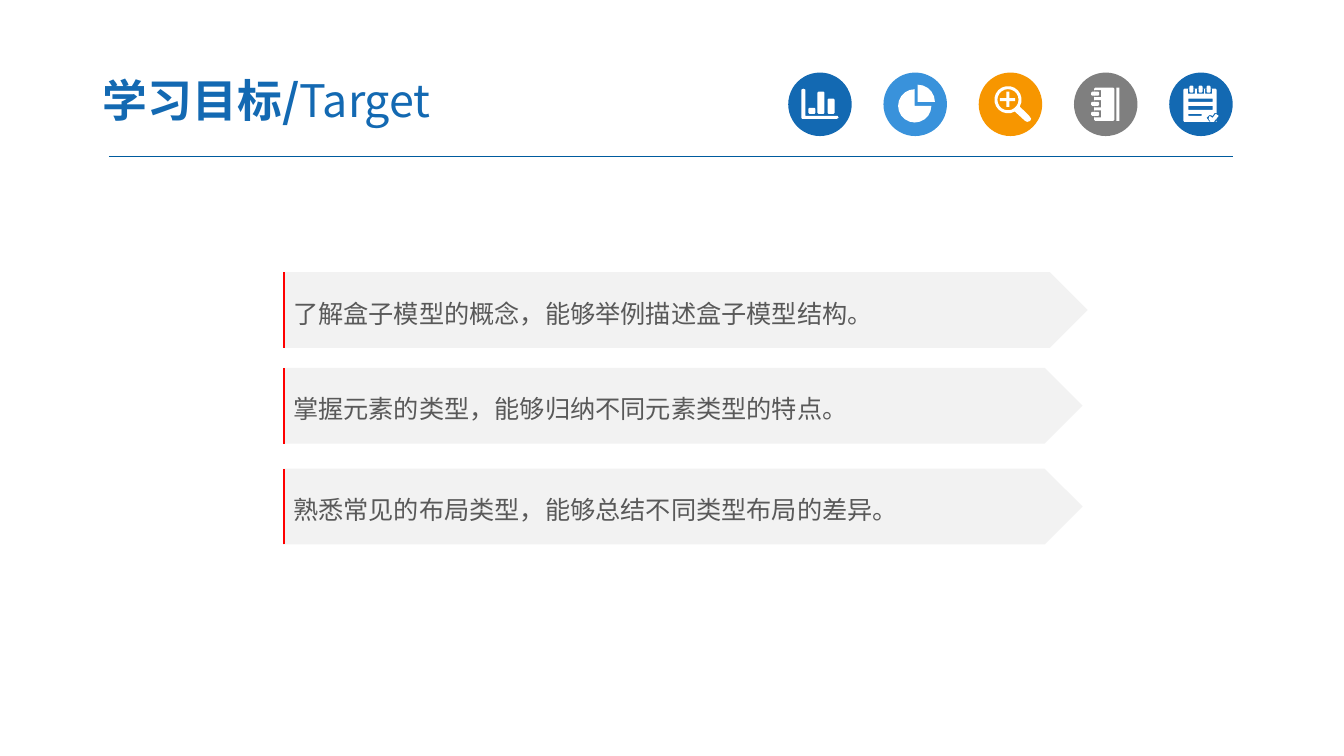
from math import cos, radians, sin

from lxml.etree import SubElement
from pptx import Presentation
from pptx.dml.color import RGBColor
from pptx.enum.shapes import MSO_CONNECTOR, MSO_SHAPE
from pptx.enum.text import MSO_ANCHOR, MSO_AUTO_SIZE, PP_ALIGN
from pptx.oxml.ns import qn
from pptx.util import Pt

PX = 9144  # 100 px to the inch
FONT = "Noto Sans CJK SC"
BLUE = RGBColor(0x13, 0x69, 0xB2)
SKY = RGBColor(0x39, 0x92, 0xDB)
ORANGE = RGBColor(0xF7, 0x96, 0x00)
GREY = RGBColor(0x7F, 0x7F, 0x7F)
RULE_BLUE = RGBColor(0x00, 0x5B, 0x9E)
RED = RGBColor(0xFF, 0x00, 0x00)
PALE = RGBColor(0xF2, 0xF2, 0xF2)
TEXT_GREY = RGBColor(0x59, 0x59, 0x59)
WHITE = RGBColor(0xFF, 0xFF, 0xFF)

TITLE = [("学习目标/", True), ("Target", False)]
GOALS = [  # text, top, arrow width
    ("了解盒子模型的概念，能够举例描述盒子模型结构。", 270, 798),
    ("掌握元素的类型，能够归纳不同元素类型的特点。", 365, 793),
    ("熟悉常见的布局类型，能够总结不同类型布局的差异。", 465, 793),
]
GOAL_LEFT, GOAL_HEIGHT = 281, 75
DISC_LEFT, DISC_TOP, DISC_SIZE, DISC_STEP = 782, 72, 63, 94.5


def arc(x, y, radius, start=0, end=360):
    steps = (end - start) // 18
    angles = [radians(start + (end - start) * i / steps) for i in range(steps + 1)]
    return [(x + radius * cos(a), y + radius * sin(a)) for a in angles]


def block(x, y, width, height):
    return [(x, y), (x + width, y), (x + width, y + height), (x, y + height)]


def bar(x, y, width, height, cut=1):
    """Outline of a rectangle with its corners cut."""
    right, bottom = x + width, y + height
    return [(x + cut, y), (right - cut, y), (right, y + cut), (right, bottom - cut),
            (right - cut, bottom), (x + cut, bottom), (x, bottom - cut), (x, y + cut)]


# Each icon is a list of outlines inside its disc; overlapping outlines cut holes.
CHART = [
    [(13, 17), (15, 16), (17, 17), (17, 43), (49, 43), (50, 45), (48, 46), (14, 46), (13, 45)],
    bar(20, 35, 7, 6), bar(29, 19, 7, 22), bar(39, 26, 7, 15),
]
PIE = [
    [(34, 29)] + arc(34, 29, 17, -90, 0),
    [(31, 33)] + arc(31, 33, 16.5, 0, 270),
]
MAGNIFIER = [
    arc(29, 27, 13.5, 60, 390) + [(50, 43), (52, 46), (51, 48), (48, 49), (46, 48)],
    arc(29, 27, 10.5),
    [(21, 25.5), (27.5, 25.5), (27.5, 19), (30.5, 19), (30.5, 25.5), (36, 25.5),
     (36, 28.5), (30.5, 28.5), (30.5, 34), (27.5, 34), (27.5, 28.5), (21, 28.5)],
]
NOTEBOOK = [block(42, 15, 3, 33), bar(20, 15, 20, 33)]
for ring in (21, 31, 41):
    NOTEBOOK += [block(20, ring - 3.5, 7, 7), bar(17, ring - 2, 8, 4)]
NOTEPAD = [
    bar(14, 16, 33, 33), block(19, 26, 24, 3), block(19, 33, 24, 4), block(19, 41, 13, 2),
    [(37, 45), (40, 42), (43, 43), (45, 40), (47, 40), (47, 49), (40, 49)],
    [(40, 43), (43, 45), (46, 41), (49, 43), (44, 49), (41, 49), (39, 46)],
]
for hook in (22, 31, 39):
    NOTEPAD += [block(hook - 3.5, 16, 7, 5), bar(hook - 2, 13, 4, 7)]
ICONS = [(BLUE, CHART), (SKY, PIE), (ORANGE, MAGNIFIER), (GREY, NOTEBOOK), (BLUE, NOTEPAD)]


def px(*lengths):
    return [round(length * PX) for length in lengths]


def paint(shape, color):
    shape.shadow.inherit = False
    shape.fill.solid()
    shape.fill.fore_color.rgb = color
    shape.line.fill.background()


def style(para, size, color):
    para.alignment = PP_ALIGN.LEFT
    para.font.size = Pt(size)
    para.font.color.rgb = color
    para.font.name = FONT
    SubElement(para._p.pPr.find(qn("a:defRPr")), qn("a:ea"), typeface=FONT)


def add_line(slide, ends, color, width):
    line = slide.shapes.add_connector(MSO_CONNECTOR.STRAIGHT, *px(*ends))
    line.line.color.rgb = color
    line.line.width = Pt(width)
    SubElement(line._element.spPr, qn("a:effectLst"))


def add_icon(slide, left, color, outlines):
    disc = slide.shapes.add_shape(MSO_SHAPE.OVAL, *px(left, DISC_TOP, DISC_SIZE, DISC_SIZE))
    paint(disc, color)
    placed = [[px(left + x, DISC_TOP + y) for x, y in outline] for outline in outlines]
    builder = slide.shapes.build_freeform(*placed[0][0])
    for i, (first, *rest) in enumerate(placed):
        if i:
            builder.move_to(*first)
        builder.add_line_segments(rest, close=True)
    paint(builder.convert_to_shape(), WHITE)


def add_title(slide):
    box = slide.shapes.title
    box.left, box.top, box.width, box.height = px(89, 63, 522, 72)
    frame = box.text_frame
    frame.auto_size = MSO_AUTO_SIZE.NONE
    frame.vertical_anchor = MSO_ANCHOR.MIDDLE
    frame.margin_left, frame.margin_top, frame.margin_right, frame.margin_bottom = px(13, 7, 13, 7)
    para = frame.paragraphs[0]
    style(para, 32, BLUE)
    for text, bold in TITLE:
        span = para.add_run()
        span.text = text
        span.font.bold = bold


def add_goal(slide, text, top, width):
    arrow = slide.shapes.add_shape(MSO_SHAPE.PENTAGON, *px(GOAL_LEFT, top, width, GOAL_HEIGHT))
    paint(arrow, PALE)
    frame = arrow.text_frame
    frame.vertical_anchor = MSO_ANCHOR.MIDDLE
    para = frame.paragraphs[0]
    para.text = text
    para.line_spacing = 1.2
    style(para, 18, TEXT_GREY)
    edge = GOAL_LEFT + 1
    add_line(slide, (edge, top + GOAL_HEIGHT, edge, top), RED, 1.5)


def main():
    deck = Presentation()
    deck.slide_width, deck.slide_height = px(1333.33, 750)
    slide = deck.slides.add_slide(deck.slide_layouts[5])
    add_line(slide, (108, 155, 1223, 155), RULE_BLUE, 0.75)
    for i, (color, outlines) in enumerate(ICONS):
        add_icon(slide, DISC_LEFT + i * DISC_STEP, color, outlines)
    add_title(slide)
    for goal in GOALS:
        add_goal(slide, *goal)
    deck.save("out.pptx")


if __name__ == "__main__":
    main()
